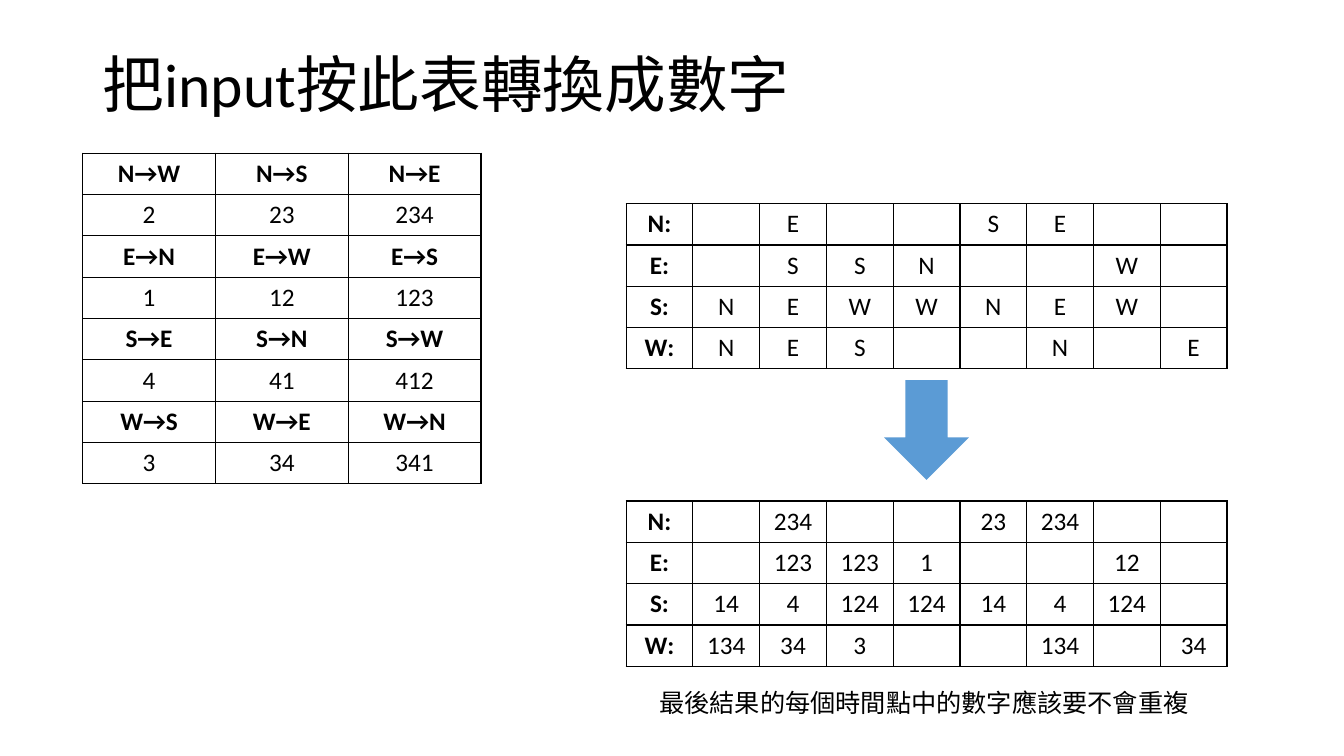
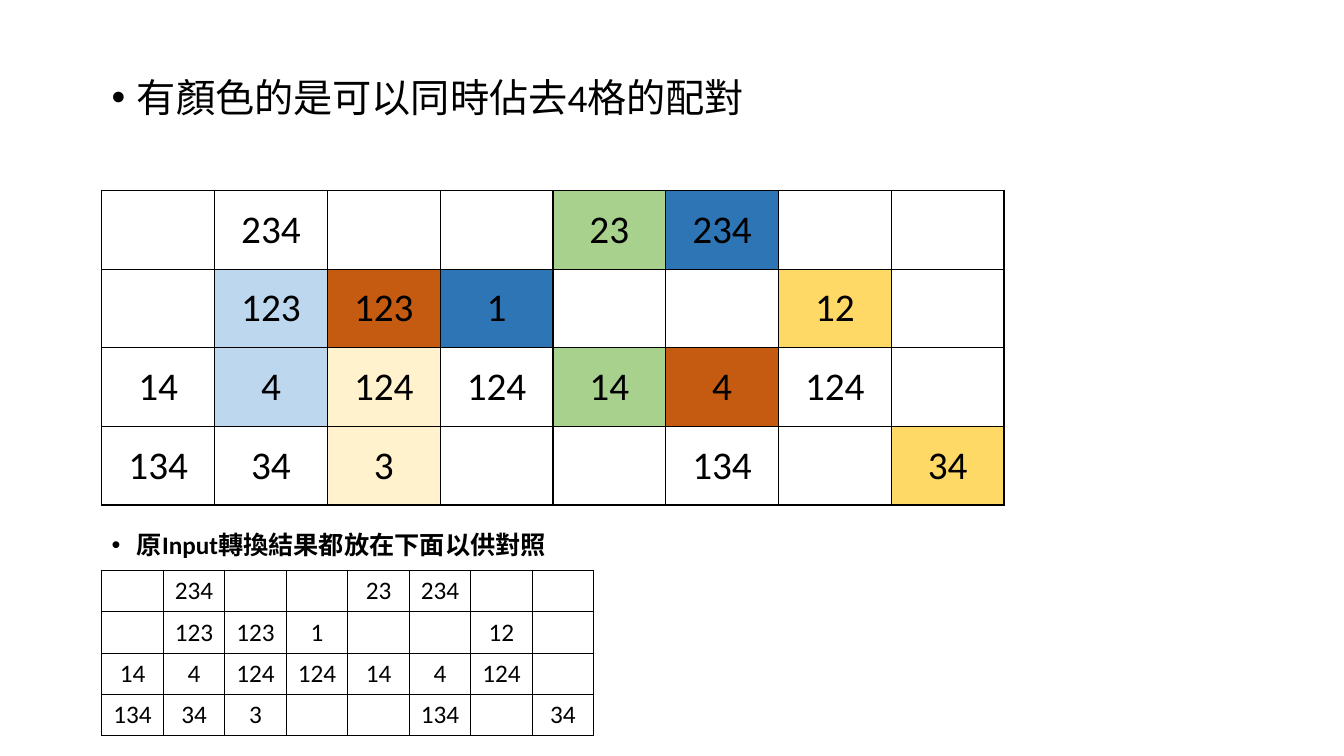
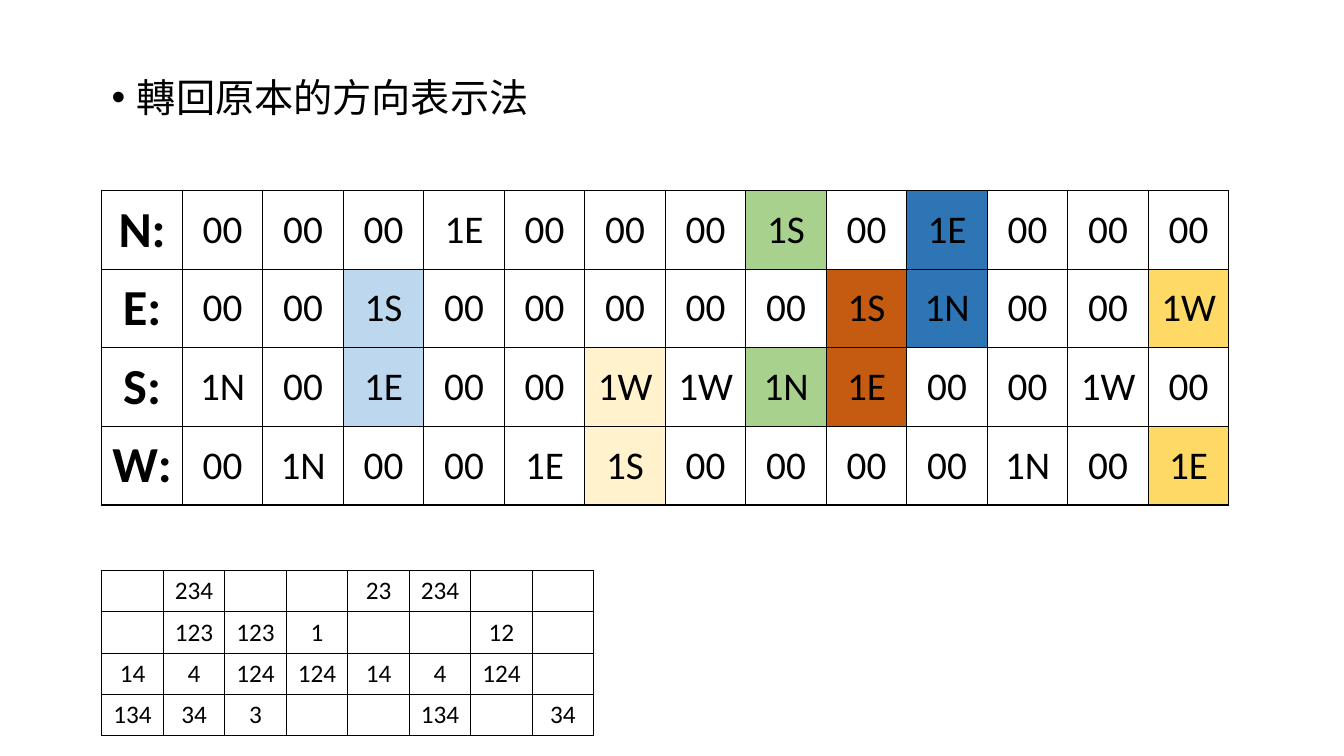
from dataclasses import dataclass
from typing import Any

from lxml.etree import SubElement
from pptx import Presentation
from pptx.dml.color import RGBColor
from pptx.enum.shapes import MSO_SHAPE
from pptx.enum.text import MSO_ANCHOR, MSO_AUTO_SIZE, PP_ALIGN
from pptx.oxml.ns import qn
from pptx.util import Inches, Pt

# Shared style
FONT = "Calibri"
BLACK = RGBColor(0x00, 0x00, 0x00)
ARROW = RGBColor(0x5B, 0x9B, 0xD5)
PAIRS = {
    "G": RGBColor(0xA9, 0xD1, 0x8E),
    "B": RGBColor(0x2E, 0x75, 0xB6),
    "L": RGBColor(0xBD, 0xD7, 0xEE),
    "O": RGBColor(0xC5, 0x5A, 0x11),
    "C": RGBColor(0xFF, 0xF2, 0xCC),
    "Y": RGBColor(0xFF, 0xD9, 0x66),
}
LEFT = 1.01
ROW = 0.41
SIDES = "NESW"

# Table data: "_" is an empty cell
CODES = [
    "N→W N→S N→E", "2 23 234",
    "E→N E→W E→S", "1 12 123",
    "S→E S→N S→W", "4 41 412",
    "W→S W→E W→N", "3 34 341",
]
MOVES = [
    "_ E _ _ S E _ _",
    "_ S S N _ _ W _",
    "N E W W N E W _",
    "N E S _ _ N _ E",
]
DIGITS = [
    "_ 234 _ _ 23 234 _ _",
    "_ 123 123 1 _ _ 12 _",
    "14 4 124 124 14 4 124 _",
    "134 34 3 _ _ 134 _ 34",
]
RESULT = [
    "00 00 00 1E 00 00 00 1S 00 1E 00 00 00",
    "00 00 1S 00 00 00 00 00 1S 1N 00 00 1W",
    "1N 00 1E 00 00 1W 1W 1N 1E 00 00 1W 00",
    "00 1N 00 00 1E 1S 00 00 00 00 1N 00 1E",
]


@dataclass
class Grid:
    left: float
    top: float
    width: float
    rows: list[str]
    high: float = ROW
    size: int = 18
    head: int = 18
    tints: tuple[str, ...] = ()  # one letter of PAIRS per cell
    bold_col: bool = False
    bold_odd: bool = False


def write(frame: Any, text: str, *, size: int = 18, bold: bool = False,
          align: PP_ALIGN = PP_ALIGN.LEFT, bullet: bool = False,
          space: float | None = None) -> None:
    para = frame.paragraphs[0]
    para.alignment = align
    para.line_spacing = space
    if bullet:
        props = para._p.get_or_add_pPr()
        props.set("marL", str(Inches(0.25)))
        props.set("indent", str(Inches(-0.25)))
        SubElement(props, qn("a:buFont"), typeface="Arial")
        SubElement(props, qn("a:buChar"), char="•")
    run = para.add_run()
    run.text = text
    font = run.font
    font.name, font.size, font.bold = FONT, Pt(size), bold
    font.color.rgb = BLACK


def add_box(slide: Any, left: float, top: float, width: float, high: float,
            text: str, *, wrap: bool = True,
            anchor: MSO_ANCHOR = MSO_ANCHOR.TOP, **style: Any) -> None:
    box = slide.shapes.add_textbox(Inches(left), Inches(top),
                                   Inches(width), Inches(high))
    frame = box.text_frame
    frame.word_wrap = wrap
    if not wrap:
        frame.auto_size = MSO_AUTO_SIZE.SHAPE_TO_FIT_TEXT
    frame.vertical_anchor = anchor
    write(frame, text, **style)


def add_point(slide: Any, top: float, width: float, text: str,
              **style: Any) -> None:
    add_box(slide, LEFT, top, width, 0.83, text,
            bullet=True, space=0.9, **style)


def add_edges(cell: Any) -> None:
    props = cell._tc.get_or_add_tcPr()
    for side in ("lnL", "lnR", "lnT", "lnB"):
        line = SubElement(props, qn(f"a:{side}"), w=str(Pt(1)))
        fill = SubElement(line, qn("a:solidFill"))
        SubElement(fill, qn("a:srgbClr"), val=str(BLACK))


def add_grid(slide: Any, grid: Grid) -> None:
    cells = [row.split() for row in grid.rows]
    if grid.bold_col:
        cells = [[f"{side}:", *row] for side, row in zip(SIDES, cells)]
    count = len(cells[0])
    shape = slide.shapes.add_table(
        len(cells), count, Inches(grid.left), Inches(grid.top),
        Inches(grid.width), Inches(grid.high * len(cells)))
    table = shape.table
    table.first_row = table.horz_banding = False
    for col in table.columns:
        col.width = Inches(grid.width / count)
    for i, row in enumerate(cells):
        table.rows[i].height = Inches(grid.high)
        for j, text in enumerate(row):
            cell = table.cell(i, j)
            cell.vertical_anchor = MSO_ANCHOR.MIDDLE
            add_edges(cell)
            tint = PAIRS.get(grid.tints[i][j]) if grid.tints else None
            if tint is None:
                cell.fill.background()
            else:
                cell.fill.solid()
                cell.fill.fore_color.rgb = tint
            if text != "_":
                head = grid.bold_col and j == 0
                bold = head or (grid.bold_odd and i % 2 == 0)
                write(cell.text_frame, text, bold=bold,
                      size=grid.head if head else grid.size,
                      align=PP_ALIGN.CENTER)


def draw_codes(slide: Any) -> None:
    add_box(slide, 0.92, 0.4, 11.5, 0.93, "把input按此表轉換成數字",
            size=44, space=0.9, anchor=MSO_ANCHOR.MIDDLE)
    add_grid(slide, Grid(0.82, 1.52, 3.95, CODES, bold_odd=True))
    for top, rows in ((4.97, DIGITS), (2.02, MOVES)):
        add_grid(slide, Grid(6.21, top, 5.96, rows, bold_col=True))
    arrow = slide.shapes.add_shape(MSO_SHAPE.DOWN_ARROW, Inches(8.77),
                                   Inches(3.77), Inches(0.84), Inches(0.99))
    arrow.shadow.inherit = False
    arrow.fill.solid()
    arrow.fill.fore_color.rgb = ARROW
    arrow.line.fill.background()
    add_box(slide, 6.44, 6.77, 5.5, 0.4,
            "最後結果的每個時間點中的數字應該要不會重複", wrap=False)


def draw_match(slide: Any, text: str, main: Grid) -> None:
    add_grid(slide, main)
    add_grid(slide, Grid(LEFT, 5.66, 4.88, DIGITS))
    add_point(slide, 0.73, 10, text, size=28)


def main() -> None:
    deck = Presentation()
    deck.slide_width, deck.slide_height = Inches(13.33), Inches(7.5)
    first, second, third = (
        deck.slides.add_slide(deck.slide_layouts[6]) for _ in range(3))

    # Conversion table
    draw_codes(first)

    # Coloured pairs
    draw_match(second, "有顏色的是可以同時佔去4格的配對", Grid(
        LEFT, 1.89, 8.95, DIGITS, high=0.78, size=28,
        tints=("....GB..", ".LOB..Y.", ".LC.GO..", "..C....Y")))
    add_point(second, 5.24, 5.34, "原Input轉換結果都放在下面以供對照", bold=True)

    # Back to directions
    draw_match(third, "轉回原本的方向表示法", Grid(
        LEFT, 1.89, 11.18, RESULT, high=0.78, size=28, head=36, bold_col=True,
        tints=("........G.B...", "...L.....OB..Y",
               "...L..C.GO....", "......C......Y")))

    deck.save("out.pptx")


if __name__ == "__main__":
    main()
